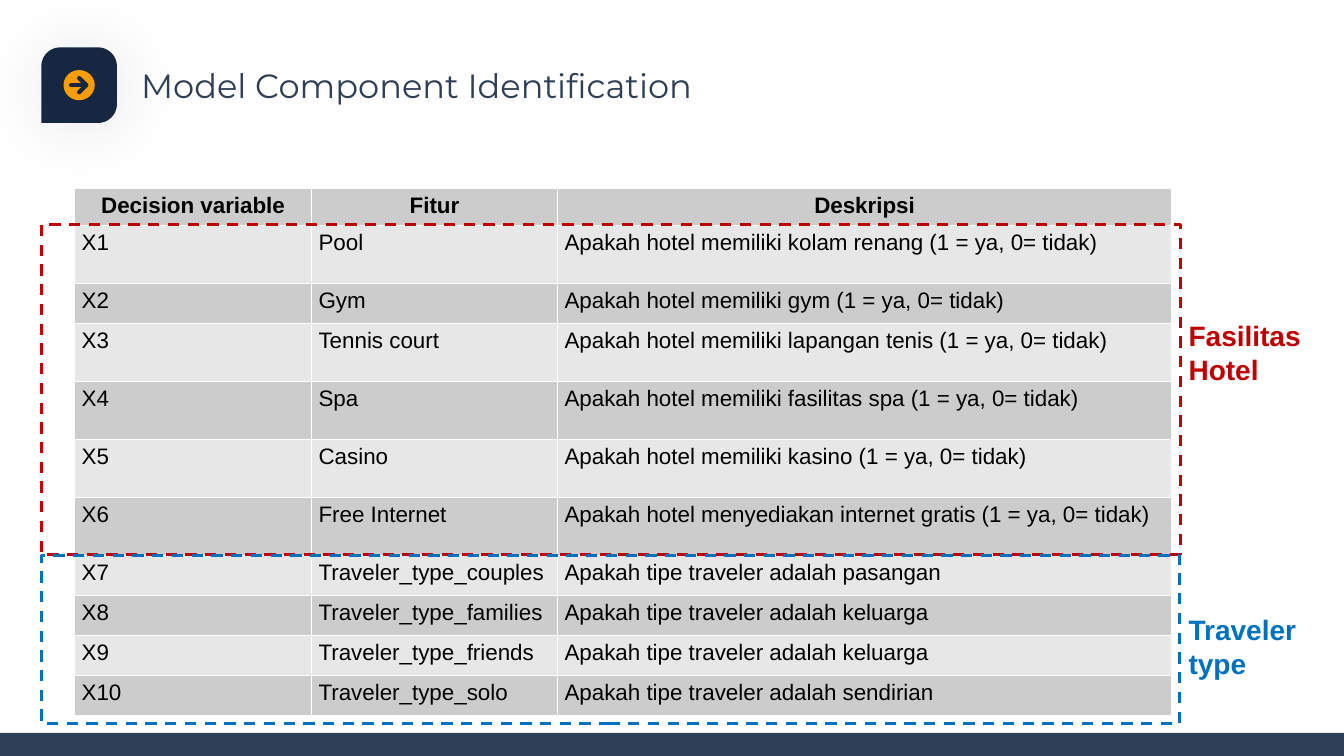
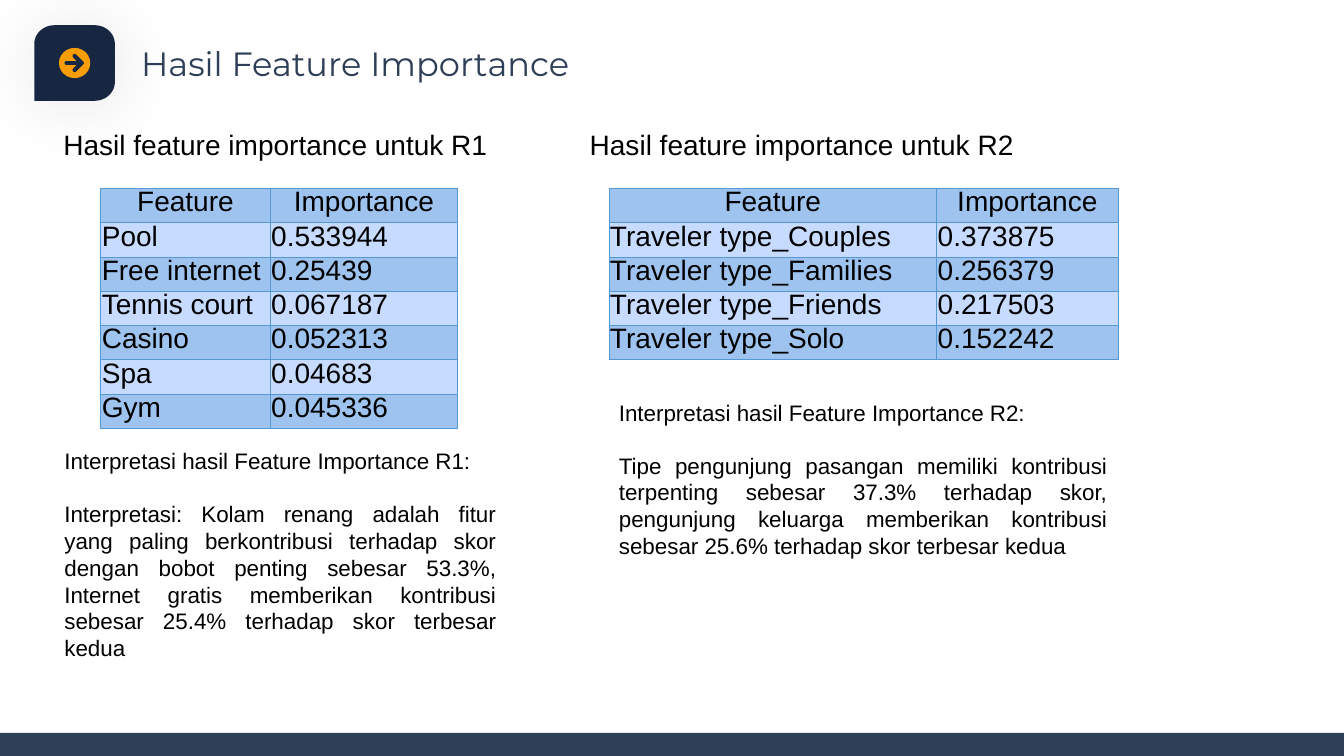
from dataclasses import dataclass
from math import cos, sin, pi
from pptx import Presentation
from pptx.dml.color import RGBColor as Rgb
from pptx.enum.dml import MSO_LINE as Dash
from pptx.enum.shapes import MSO_SHAPE as Kind
from pptx.enum.text import MSO_ANCHOR as Anchor, PP_ALIGN as Align
from pptx.oxml import parse_xml
from pptx.oxml.ns import nsdecls
from pptx.util import Inches, Pt


@dataclass(frozen=True)
class Theme:
    navy: str = "2E3E56"
    tile: str = "172741"
    gold: str = "F99D07"
    ink: str = "000000"
    red: str = "C00000"
    blue: str = "0070C0"
    grays: tuple = ("CCCCCC", "E7E7E7")
    blues: tuple = ("9DC3EE", "C6DBFF")
    white: str = "FFFFFF"
    edge: str = "5698D3"
    head: str = "Montserrat"
    body: str = "Arial"
    title: int = 24
    large: int = 20
    small: int = 16


look = Theme()
deck = Presentation()
deck.slide_width, deck.slide_height = Inches(13.33), Inches(7.5)
unit = deck.slide_height / 75
wide = deck.slide_width / unit


def write(page, place, lines, size, color=look.ink, face=look.body,
          bold=False, align=Align.LEFT, gap=0, inset=None):
    frame = page.shapes.add_textbox(*[round(v * unit) for v in place]).text_frame
    frame.word_wrap = True
    if inset is not None:
        frame.margin_left = frame.margin_right = inset
        frame.margin_top = frame.margin_bottom = inset
        frame.vertical_anchor = Anchor.MIDDLE
    frame.text = "\n".join(lines)
    for i, para in enumerate(frame.paragraphs):
        para.alignment = align
        para.space_before = Pt(gap if i else 0)
        font = para.font
        font.name, font.size, font.bold = face, Pt(size), bold
        font.color.rgb = Rgb.from_string(color)


def grid(page, x, y, cols, rows, data, fills, edge, weight, size, bold, pads, anchor, lead, after):
    place = [round(v * unit) for v in (x, y, sum(cols), sum(rows))]
    table = page.shapes.add_table(len(rows), len(cols), *place).table
    for col, w in zip(table.columns, cols):
        col.width = round(w * unit)
    for r, (line, h) in enumerate(zip(data, rows)):
        table.rows[r].height = round(h * unit)
        for c, word in enumerate(line):
            cell = table.cell(r, c)
            cell.margin_left = cell.margin_right = Inches(pads[0])
            cell.margin_top, cell.margin_bottom = Inches(pads[1]), Inches(pads[2])
            cell.vertical_anchor = anchor
            for side in "LRTB":
                cell._tc.get_or_add_tcPr().append(parse_xml(
                    f'<a:ln{side} {nsdecls("a")} w="{Pt(weight)}"><a:solidFill>'
                    f'<a:srgbClr val="{edge}"/></a:solidFill></a:ln{side}>'))
            cell.fill.solid()
            cell.fill.fore_color.rgb = Rgb.from_string(fills[r % 2])
            cell.text = word
            para = cell.text_frame.paragraphs[0]
            para.alignment = Align.JUSTIFY if r else Align.CENTER
            para.line_spacing, para.space_after = lead, Pt(after)
            font = para.font
            font.name, font.size, font.bold = look.body, Pt(size), bold and r == 0
            font.color.rgb = Rgb.from_string(look.ink)


pages = []
for title, left, top, span in (("Model Component Identification", 4.1, 4.7, 7.5),
                               ("Hasil Feature Importance", 3.4, 2.5, 8)):
    page = deck.slides.add_slide(deck.slide_layouts[6])
    pages.append(page)
    tall = 7.5
    midx, midy = left + span / 2, top + tall / 2
    rx, ry = span / 4, tall / 4
    rim = [(left, top + tall)]
    for cx, cy, turn in ((left + rx, top + ry, 2),
                         (left + span - rx, top + ry, 3),
                         (left + span - rx, top + tall - ry, 4)):
        for step in range(13):
            a = (turn + step / 12) * pi / 2
            rim.append((cx + rx * cos(a), cy + ry * sin(a)))
    pen = page.shapes.build_freeform(*rim[0], scale=unit / 1000)
    pen = page.shapes.build_freeform(rim[0][0] * 1000, rim[0][1] * 1000, scale=unit / 1000)
    pen.add_line_segments([(x * 1000, y * 1000) for x, y in rim[1:]])
    tile = pen.convert_to_shape()
    band = page.shapes.add_shape(Kind.RECTANGLE, 0, round(72.7 * unit),
                                 deck.slide_width, round(2.3 * unit))
    disc = page.shapes.add_shape(Kind.OVAL, *[round(v * unit) for v in
                                              (midx - 1.55, midy - 1.5, 3.1, 3)])
    for shape, color in ((tile, look.tile), (band, look.navy), (disc, look.gold)):
        shape.shadow.inherit = False
        shape.fill.solid()
        shape.fill.fore_color.rgb = Rgb.from_string(color)
        shape.line.fill.background()
    tile._element.spPr.find("{*}effectLst").append(parse_xml(
        f'<a:outerShdw {nsdecls("a")} blurRad="{Pt(50)}" dist="{Pt(3)}" dir="2700000">'
        f'<a:srgbClr val="{look.ink}"><a:alpha val="10000"/></a:srgbClr></a:outerShdw>'))
    hub = [(midx + dx) * unit for dx in (-0.8, 0, 0.7)]
    row = [(midy + dy) * unit for dy in (-0.7, 0, 0.7)]
    pen = page.shapes.build_freeform(hub[0], row[1])
    pen.add_line_segments([(hub[2], row[1])], close=False)
    pen.move_to(hub[1], row[0])
    pen.add_line_segments([(hub[2], row[1]), (hub[1], row[2])], close=False)
    arrow = pen.convert_to_shape()
    arrow.shadow.inherit = False
    arrow.fill.background()
    arrow.line.color.rgb = Rgb.from_string(look.tile)
    arrow.line.width = Pt(3)
    arrow.line._get_or_add_ln().set("cap", "rnd")
    write(page, (14, midy - 2, wide - 50, 4), [title], look.title, look.navy, look.head, inset=0)

model, result = pages
asks = (("Pool", "memiliki kolam renang"), ("Gym", "memiliki gym"),
        ("Tennis court", "memiliki lapangan tenis"), ("Spa", "memiliki fasilitas spa"),
        ("Casino", "memiliki kasino"), ("Free Internet", "menyediakan internet gratis"))
kinds = (("couples", "pasangan"), ("families", "keluarga"),
         ("friends", "keluarga"), ("solo", "sendirian"))
facts = [(name, f"Apakah hotel {ask} (1 = ya, 0= tidak)") for name, ask in asks]
facts += [(f"Traveler_type_{name}", f"Apakah tipe traveler adalah {who}") for name, who in kinds]
data = [("Decision variable", "Fitur", "Deskripsi")]
data += [(f"X{i}", *fact) for i, fact in enumerate(facts, 1)]
rows = [3.65, 5.75, 3.97] + [5.75] * 4 + [3.97] * 4
grid(model, 7.4, 18.7, (23.5, 24.4, 60.9), rows, data, look.grays, look.white, 1,
     look.small, True, (0.07, 0.05, 0.05), Anchor.TOP, 1.0, 2)

for name, color, top, tall, span, high in (("Fasilitas Hotel", look.red, 22.3, 32.7, 113, 31.1),
                                           ("Traveler type", look.blue, 55.1, 16.7, 112.9, 60.3)):
    box = model.shapes.add_shape(Kind.RECTANGLE, *[round(v * unit) for v in (4.1, top, span, tall)])
    box.shadow.inherit = False
    box.fill.background()
    box.line.color.rgb = Rgb.from_string(color)
    box.line.width, box.line.dash_style = Pt(2), Dash.DASH
    write(model, (116.9, high, 15, 7.7), [name], look.large, color, bold=True)

scores = (
    ("R1", 5.3, 10, (16.8, 18.6),
     (("Pool", "0.533944"), ("Free internet", "0.25439"), ("Tennis court", "0.067187"),
      ("Casino", "0.052313"), ("Spa", "0.04683"), ("Gym", "0.045336")),
     (5.4, 43.9, 44.8, 25.2),
     "Interpretasi: Kolam renang adalah fitur yang paling berkontribusi terhadap skor "
     "dengan bobot penting sebesar 53.3%, Internet gratis memberikan kontribusi "
     "sebesar 25.4% terhadap skor terbesar kedua"),
    ("R2", 57.5, 60.4, (32.5, 18),
     (("Traveler type_Couples", "0.373875"), ("Traveler type_Families", "0.256379"),
      ("Traveler type_Friends", "0.217503"), ("Traveler type_Solo", "0.152242")),
     (60.4, 39.1, 50.4, 17.2),
     "Tipe pengunjung pasangan memiliki kontribusi terpenting sebesar 37.3% terhadap skor, "
     "pengunjung keluarga memberikan kontribusi sebesar 25.6% terhadap skor terbesar kedua"))
for tag, left, start, cols, pairs, place, note in scores:
    write(result, (left, 12.2, 44.8, 4.4), [f"Hasil feature importance untuk {tag}"], look.large)
    data = [("Feature", "Importance"), *pairs]
    grid(result, start, 18.7, cols, [3.4] * len(data), data, look.blues, look.edge, 0.75,
         look.large, False, (0.01, 0.01, 0.05), Anchor.BOTTOM, Pt(13.9), 0)
    write(result, place, [f"Interpretasi hasil Feature Importance {tag}:", note],
          look.small, align=Align.JUSTIFY, gap=18.4)

deck.save("out.pptx")
